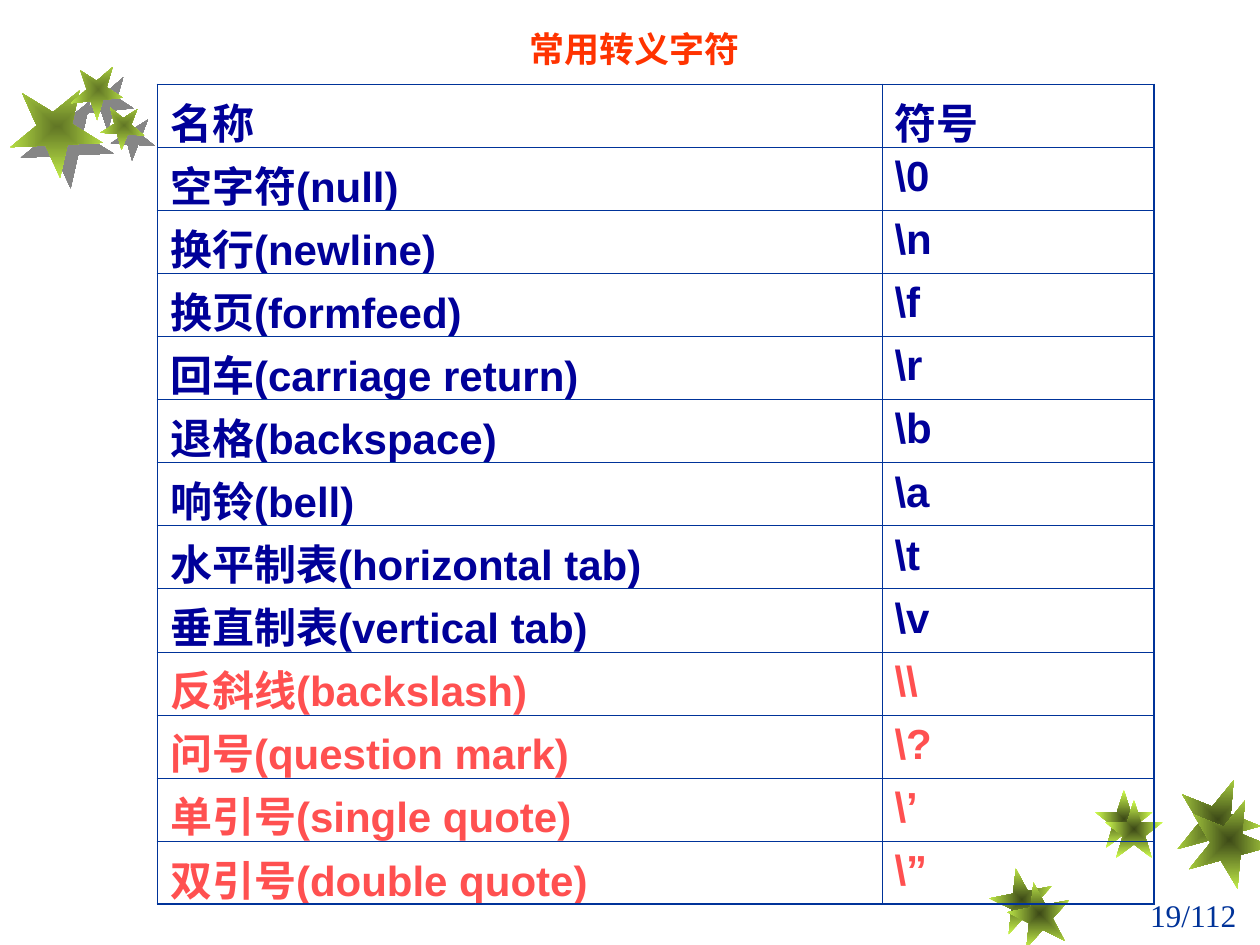
from lxml import etree
from pptx import Presentation
from pptx.dml.color import RGBColor
from pptx.enum import shapes, text
from pptx.oxml import ns, parse_xml
from pptx.util import Inches, Pt

NAVY, RED, BORDER, LIME = "000099", "FF5050", "003399", "D1FF4F"
TITLE = "常用转义字符"
PAGE = "19/112"
ESCAPES = [
    ("名称", "符号", NAVY),
    ("空字符(null)", "\\0", NAVY),
    ("换行(newline)", "\\n", NAVY),
    ("换页(formfeed)", "\\f", NAVY),
    ("回车(carriage return)", "\\r", NAVY),
    ("退格(backspace)", "\\b", NAVY),
    ("响铃(bell)", "\\a", NAVY),
    ("水平制表(horizontal tab)", "\\t", NAVY),
    ("垂直制表(vertical tab)", "\\v", NAVY),
    ("反斜线(backslash)", "\\\\", RED),
    ("问号(question mark)", "\\?", RED),
    ("单引号(single quote)", "\\’", RED),
    ("双引号(double quote)", "\\”", RED),
]
COLUMN_WIDTHS = (5.75, 2.16)
ROW_HEIGHT = 0.5
CORNER_STARS = [
    (7.86, 6.89, 0.5, 0.5, 349),
    (8.69, 6.27, 0.46, 0.46, 0),
    (9.33, 6.17, 0.67, 0.67, 22),
    (8, 7, 0.5, 0.5, 349),
    (8.77, 6.35, 0.46, 0.46, 0),
    (9.42, 6.33, 0.67, 0.67, 22),
]
SHADOWED_STARS = [
    (0.08, 0.67, 0.75, 0.67, 31.6),
    (0.58, 0.5, 0.4, 0.42, 32.7),
    (0.81, 0.83, 0.35, 0.33, 39.3),
]


def rgb(value):
    return RGBColor.from_string(value)


def drawing_xml(body):
    return parse_xml(body.replace(">", f" {ns.nsdecls('a')}>", 1))


def add_run(paragraph, words, font, size, color, bold=False):
    run = paragraph.add_run()
    run.text = words
    run.font.name, run.font.size, run.font.bold = font, Pt(size), bold
    run.font.color.rgb = rgb(color)


def add_star(slide, star, center, shadowed):
    *box, angle = star
    shape = slide.shapes.add_shape(shapes.MSO_SHAPE.STAR_5_POINT, *map(Inches, box))
    shape.rotation = angle
    shape.line.fill.background()
    shape.shadow.inherit = False
    properties = shape.element.spPr
    properties.find(ns.qn("a:prstGeom")).addnext(drawing_xml(
        f'<a:gradFill rotWithShape="1"><a:gsLst>'
        f'<a:gs pos="0"><a:srgbClr val="{center}"/></a:gs>'
        f'<a:gs pos="100000"><a:srgbClr val="{LIME}"/></a:gs></a:gsLst>'
        f'<a:path path="rect"><a:fillToRect l="50000" t="50000" r="50000" b="50000"/></a:path>'
        f'</a:gradFill>'))
    if shadowed:
        properties.find(ns.qn("a:effectLst")).append(drawing_xml(
            f'<a:outerShdw dist="{Pt(8.5)}" dir="2700000" algn="ctr" rotWithShape="0">'
            f'<a:srgbClr val="868686"/></a:outerShdw>'))


def add_label(slide, box, words, size, color, bold=False):
    label = slide.shapes.add_textbox(*map(Inches, box)).text_frame
    label.word_wrap = True
    label.auto_size = text.MSO_AUTO_SIZE.SHAPE_TO_FIT_TEXT
    paragraph = label.paragraphs[0]
    paragraph.alignment = text.PP_ALIGN.CENTER
    add_run(paragraph, words, "Times New Roman", size, color, bold)


def set_borders(cell, outer_sides):
    properties = cell._tc.get_or_add_tcPr()
    for index, side in enumerate("LRTB"):
        width = Pt(1.08 if side in outer_sides else 0.45)
        properties.insert(index, drawing_xml(
            f'<a:ln{side} w="{width}"><a:solidFill><a:srgbClr val="{BORDER}"/>'
            f'</a:solidFill></a:ln{side}>'))


def add_escape_table(slide):
    last_row = len(ESCAPES) - 1
    table = slide.shapes.add_table(
        len(ESCAPES), 2, Inches(1.25), Inches(0.67),
        Inches(sum(COLUMN_WIDTHS)), Inches(ROW_HEIGHT * len(ESCAPES))).table
    table.first_row = table.horz_banding = False
    for column, width in zip(table.columns, COLUMN_WIDTHS):
        column.width = Inches(width)
    for r, (name, symbol, color) in enumerate(ESCAPES):
        table.rows[r].height = Inches(ROW_HEIGHT)
        for c, words in enumerate((name, symbol)):
            cell = table.cell(r, c)
            cell.fill.background()
            add_run(cell.text_frame.paragraphs[0], words, "Arial", 24, color, True)
            outer = "LR"[c] + ("T" if r == 0 else "") + ("B" if r == last_row else "")
            set_borders(cell, outer)


def main():
    deck = Presentation()
    deck.slide_width, deck.slide_height = Inches(10), Inches(7.5)
    slide = deck.slides.add_slide(deck.slide_layouts[6])
    for star in CORNER_STARS:
        add_star(slide, star, "3C4917", False)
    for star in SHADOWED_STARS:
        add_star(slide, star, "617625", True)
    add_label(slide, (8.94, 7.06, 1.06, 0.7), PAGE, 18, BORDER)
    add_escape_table(slide)
    add_label(slide, (2.01, 0.17, 6.06, 0.44), TITLE, 20, "FF3300", True)
    deck.save("out.pptx")


if __name__ == "__main__":
    main()
